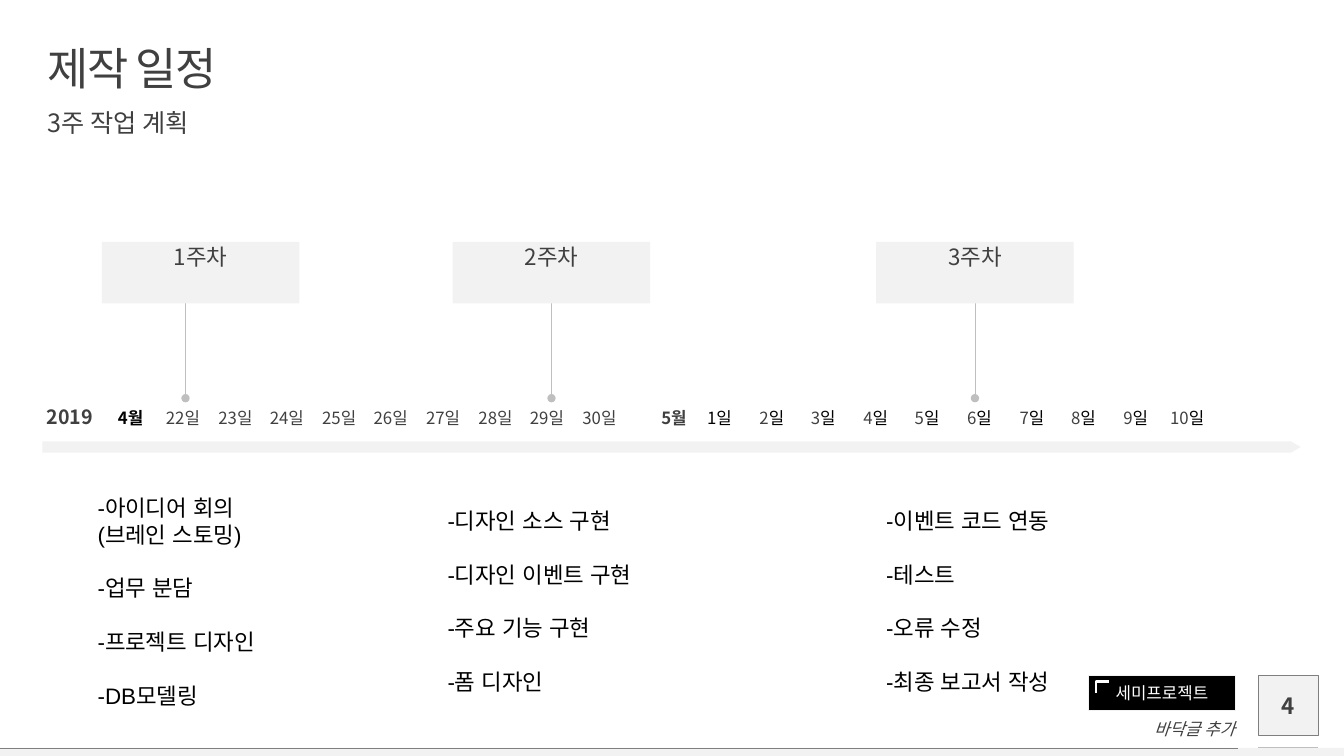
from lxml import etree
from pptx import Presentation, util as u
from pptx.dml.color import RGBColor
from pptx.enum import shapes, text
from pptx.oxml.ns import qn

PX = 9144  # 100 px to the inch
KR = "Noto Sans CJK KR"
DARK, BLACK, PALE, GREY, RULE = "404040", "000000", "F2F2F2", "BFBFBF", "7F7F7F"
LEFT, CENTER, RIGHT = text.PP_ALIGN.LEFT, text.PP_ALIGN.CENTER, text.PP_ALIGN.RIGHT
TOP, MIDDLE, BOTTOM = text.MSO_ANCHOR.TOP, text.MSO_ANCHOR.MIDDLE, text.MSO_ANCHOR.BOTTOM
rgb = RGBColor.from_string

prs = Presentation()
prs.slide_width, prs.slide_height = u.Emu(1333 * PX), u.Emu(750 * PX)
s = prs.slides.add_slide(prs.slide_layouts[6])


def write(box, lines, size, align=LEFT, anchor=TOP, font=KR, spacing=0.9,
          gaps=(), bold=False, italic=False, top=0):
    """Box: a shape or (x, y, w, h). Lines: lists of (words, colour) runs."""
    if isinstance(box, tuple):
        box = s.shapes.add_textbox(*[v * PX for v in box])
    tf = box.text_frame
    tf.word_wrap, tf.vertical_anchor = True, anchor
    tf.margin_left = tf.margin_right = tf.margin_bottom = 0
    tf.margin_top = top * PX
    for i, line in enumerate(lines):
        p = tf.add_paragraph() if i else tf.paragraphs[0]
        p.alignment, p.line_spacing = align, spacing
        if i in gaps:
            p.space_before = u.Pt(19.2)
        for words, color in line:
            r = p.add_run()
            r.text = words
            r.font.size, r.font.name = u.Pt(size), font
            r.font.bold, r.font.italic = bold, italic
            r.font.color.rgb = rgb(color)
            ea = etree.SubElement(r.font._element, qn("a:ea"))
            ea.set("typeface", font)
    return box


def draw(kind, x, y, w, h, fill=None, line=None, width=0.5):
    """Draw a preset shape, or a straight line when kind is None."""
    if kind is None:
        sp = s.shapes.add_connector(shapes.MSO_CONNECTOR.STRAIGHT,
                                    x * PX, y * PX, (x + w) * PX, (y + h) * PX)
        etree.SubElement(sp._element.spPr, qn("a:effectLst"))
    else:
        sp = s.shapes.add_shape(kind, x * PX, y * PX, w * PX, h * PX)
        sp.shadow.inherit = False
        sp.fill.solid()
        sp.fill.fore_color.rgb = rgb(fill)
    if line:
        sp.line.color.rgb = rgb(line)
        sp.line.width = u.Pt(width)
    else:
        sp.line.fill.background()
    return sp


RECT = shapes.MSO_SHAPE.RECTANGLE

# Footer frame and project badge
draw(RECT, 1248, 670, 59, 59, PALE, RULE, 0.25)
draw(RECT, 0, 742, 1333, 8, PALE)
draw(None, 1248, 741, 59, 0, line=GREY)
draw(None, 0, 742, 1228, 0, line=RULE, width=0.25)
badge = draw(RECT, 1080, 670, 145, 35, BLACK, PALE, 0.75)
write(badge, [[("세미프로젝트", "FFFFFF")]], 12, CENTER, MIDDLE, spacing=1.0)
fb = s.shapes.build_freeform(1100, 676, scale=PX)
fb.add_line_segments([(1087, 676), (1087, 688)], close=False)
corner = fb.convert_to_shape()
corner.shadow.inherit = False
corner.fill.background()
corner.line.color.rgb = rgb("FFFFFF")
corner.line.width = u.Pt(2)

# Timeline bar
bar = draw(shapes.MSO_SHAPE.RIGHT_ARROW, 42, 438, 1248, 11, PALE)
bar.adjustments[0], bar.adjustments[1] = 1, 0.86

# Title and subtitle
title = write((47, 47, 1240, 47), [[("제작 일정", DARK)]], 32, anchor=MIDDLE)
title.text_frame.paragraphs[0].runs[0].font._element.set("spc", "-100")
write((47, 110, 1240, 39), [[("3주 작업 계획", DARK)]], 18)

# Year, months and days
write((36, 404, 67, 22), [[("2019", DARK)]], 14, CENTER, MIDDLE, bold=True)
for x, month, color in [(109, "4월", BLACK), (648, "5월", DARK)]:
    write((x, 407, 41, 22), [[(month, color)]], 12, CENTER, bold=True)
for start, days, unit_color in [(161, range(22, 31), DARK), (693, range(1, 11), BLACK)]:
    for i, day in enumerate(days):
        color = BLACK if day == 1 else DARK
        write((start + round(51.6 * i), 407, 41, 22),
              [[(str(day), color), ("일", unit_color)]], 12, CENTER)

# Weeks: heading, stem and tasks
weeks = [
    ("1주차", 101, 184, (87, 485, 194, 226), (2, 3, 4),
     ["-아이디어 회의", "(브레인 스토밍)", "-업무 분담", "-프로젝트 디자인", "-DB모델링"]),
    ("2주차", 449, 547, (434, 498, 225, 199), (1, 2, 3),
     ["-디자인 소스 구현", "-디자인 이벤트 구현", "-주요 기능 구현", "-폼 디자인"]),
    ("3주차", 869, 967, (869, 498, 202, 199), (1, 2, 3),
     ["-이벤트 코드 연동", "-테스트", "-오류 수정", "-최종 보고서 작성"]),
]
for name, x, stem_x, area, gaps, tasks in weeks:
    stem = draw(None, stem_x, 301, 0, 94, line=GREY)
    etree.SubElement(stem.line._get_or_add_ln(), qn("a:tailEnd")).set("type", "oval")
    heading = draw(RECT, x, 240, 196, 61, PALE)
    write(heading, [[(name, DARK)]], 16, CENTER, top=4)
    sp = write(area, [[(task, BLACK)] for task in tasks], 16,
               font="Arial", spacing=1.0, gaps=gaps, top=5)
    sp.text_frame.margin_left = 10 * PX
    sp.text_frame.word_wrap = False

# Footer text and page number
write((775, 710, 450, 23), [[("바닥글 추가", DARK)]], 12, RIGHT, BOTTOM,
      spacing=1.0, italic=True)
write((1248, 680, 59, 40), [[("4", DARK)]], 16, CENTER, MIDDLE, spacing=1.0, bold=True)

prs.save("out.pptx")
